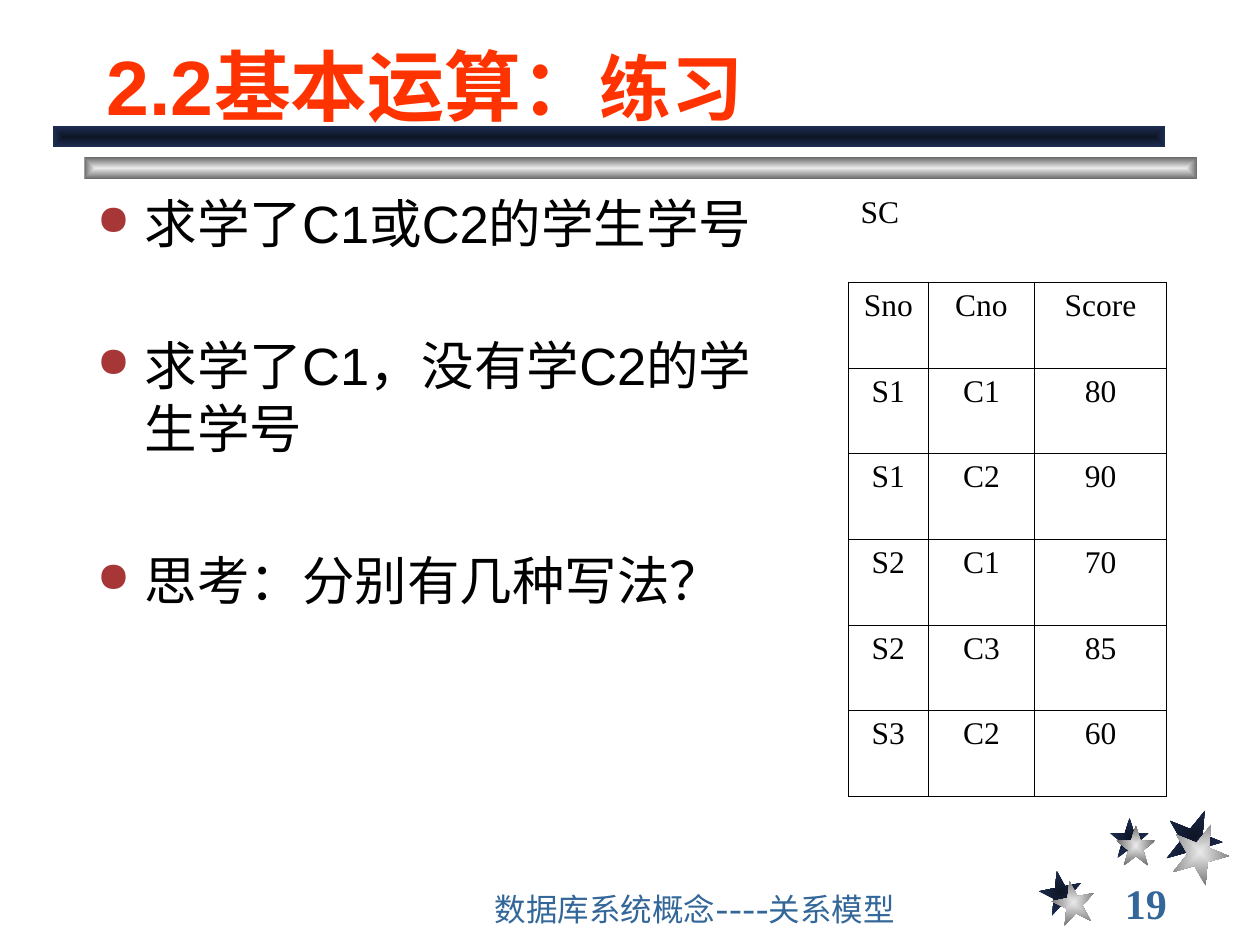
from lxml.etree import SubElement
from pptx import Presentation
from pptx.dml.color import RGBColor
from pptx.enum.shapes import MSO_SHAPE
from pptx.enum.text import MSO_ANCHOR, PP_ALIGN
from pptx.oxml.ns import qn
from pptx.util import Inches, Pt

BLACK = RGBColor(0x00, 0x00, 0x00)
ORANGE = RGBColor(0xFF, 0x33, 0x00)
BLUE = RGBColor(0x33, 0x66, 0x99)
BULLET_RED = RGBColor(0xA7, 0x37, 0x37)
NAVY = (RGBColor(0x0E, 0x15, 0x26), RGBColor(0x1E, 0x2E, 0x53))
SILVER = (RGBColor(0xEA, 0xEA, 0xEA), RGBColor(0x6C, 0x6C, 0x6C))

STARS = [
    (8.25, 6.91, 0.34, 0.34, -11, NAVY),
    (8.81, 6.49, 0.31, 0.32, 0, NAVY),
    (9.25, 6.42, 0.45, 0.46, 22, NAVY),
    (8.35, 6.99, 0.34, 0.34, -11, SILVER),
    (8.86, 6.55, 0.31, 0.32, 0, SILVER),
    (9.3, 6.53, 0.45, 0.46, 22, SILVER),
]
BARS = [(0.67, 1.25, 8.83, 0.17, 0, SILVER), (0.42, 1, 8.83, 0.17, 0, NAVY)]

TITLE_FORMAT = {"name": "Arial", "size": Pt(44), "bold": True}
BODY_FORMAT = {"name": "Arial", "size": Pt(30)}
FOOTER_FORMAT = {"name": "Cabin", "size": Pt(18)}
NUMBER_FORMAT = {"name": "Times New Roman", "size": Pt(24), "bold": True}
CELL_FORMAT = {"name": "Times New Roman", "size": Pt(18)}

TITLE = [("2.2基本运算：", TITLE_FORMAT), ("练习", TITLE_FORMAT | {"size": Pt(41)})]
QUESTIONS = [
    ("求学了C1或C2的学生学号", 0),
    ("求学了C1，没有学C2的学生学号", 45),
    ("思考：分别有几种写法？", 51),
]
SCORES = [
    ("SC", "", ""),
    ("Sno", "Cno", "Score"),
    ("S1", "C1", "80"),
    ("S1", "C2", "90"),
    ("S2", "C1", "70"),
    ("S2", "C3", "85"),
    ("S3", "C2", "60"),
]
COLUMN_WIDTHS = [0.64, 0.84, 1.05]
ROW_HEIGHTS = [0.74] + [0.68] * 6


def add_gradient_shape(page, kind, left, top, width, height, rotation, colors):
    shape = page.shapes.add_shape(kind, *map(Inches, (left, top, width, height)))
    shape.rotation = rotation
    shape.shadow.inherit = False
    shape.line.fill.background()
    shape.fill.gradient()
    for stop, color in zip(shape.fill.gradient_stops, colors):
        stop.color.rgb = color
    gradient = shape._element.spPr.find(qn("a:gradFill"))
    gradient.remove(gradient.find(qn("a:lin")))
    center = SubElement(gradient, qn("a:path"), {"path": "rect"})
    SubElement(center, qn("a:fillToRect"), dict.fromkeys("ltrb", "50000"))


def add_box(page, left, top, width, height, anchor):
    box = page.shapes.add_textbox(*map(Inches, (left, top, width, height)))
    box.text_frame.word_wrap = True
    box.text_frame.vertical_anchor = anchor
    return box.text_frame


def add_span(para, text, formats, color):
    span = para.add_run()
    span.text = text
    for name, value in formats.items():
        setattr(span.font, name, value)
    span.font.color.rgb = color


def add_bullet(para):
    properties = para._p.get_or_add_pPr()
    properties.set("marL", str(Inches(0.38)))
    properties.set("indent", str(Inches(-0.38)))
    color = SubElement(properties, qn("a:buClr"))
    SubElement(color, qn("a:srgbClr"), {"val": str(BULLET_RED)})
    SubElement(properties, qn("a:buSzPct"), {"val": "80000"})
    SubElement(properties, qn("a:buChar"), {"char": "●"})


def set_borders(cell, visible):
    properties = cell._tc.get_or_add_tcPr()
    for side in "LRTB":
        line = SubElement(properties, qn(f"a:ln{side}"), {"w": str(Pt(0.45))})
        if side in visible:
            fill = SubElement(line, qn("a:solidFill"))
            SubElement(fill, qn("a:srgbClr"), {"val": str(BLACK)})
        else:
            SubElement(line, qn("a:noFill"))


def add_score_table(page):
    frame = page.shapes.add_table(
        len(SCORES), len(COLUMN_WIDTHS), Inches(6.73), Inches(1.5),
        Inches(sum(COLUMN_WIDTHS)), Inches(sum(ROW_HEIGHTS)))
    table = frame.table
    table.first_row = table.horz_banding = False
    for column, width in zip(table.columns, COLUMN_WIDTHS):
        column.width = Inches(width)
    for row, height in zip(table.rows, ROW_HEIGHTS):
        row.height = Inches(height)
    for row_index, values in enumerate(SCORES):
        for column_index, value in enumerate(values):
            cell = table.cell(row_index, column_index)
            set_borders(cell, "LRTB" if row_index else "B")
            cell.fill.background()
            if value:
                para = cell.text_frame.paragraphs[0]
                para.alignment = PP_ALIGN.CENTER if row_index else PP_ALIGN.LEFT
                add_span(para, value, CELL_FORMAT, BLACK)


def main():
    deck = Presentation()
    deck.slide_width, deck.slide_height = Inches(10), Inches(7.5)
    page = deck.slides.add_slide(deck.slide_layouts[6])

    for star in STARS:
        add_gradient_shape(page, MSO_SHAPE.STAR_5_POINT, *star)
    for bar in BARS:
        add_gradient_shape(page, MSO_SHAPE.RECTANGLE, *bar)

    number = add_box(page, 8.83, 7, 1.08, 0.33, MSO_ANCHOR.MIDDLE)
    add_span(number.paragraphs[0], "19", NUMBER_FORMAT, BLUE)
    footer = add_box(page, 3.83, 7.08, 4.08, 0.33, MSO_ANCHOR.BOTTOM)
    add_span(footer.paragraphs[0], "数据库系统概念----关系模型", FOOTER_FORMAT, BLUE)
    title = add_box(page, 0.75, 0.17, 8.5, 0.92, MSO_ANCHOR.BOTTOM)
    for text, formats in TITLE:
        add_span(title.paragraphs[0], text, formats, ORANGE)

    body = add_box(page, 0.67, 1.47, 5.59, 5.33, MSO_ANCHOR.TOP)
    for index, (text, space) in enumerate(QUESTIONS):
        para = body.add_paragraph() if index else body.paragraphs[0]
        add_bullet(para)
        if space:
            para.space_before = Pt(space)
        add_span(para, text, BODY_FORMAT, BLACK)

    add_score_table(page)
    deck.save("out.pptx")


if __name__ == "__main__":
    main()
